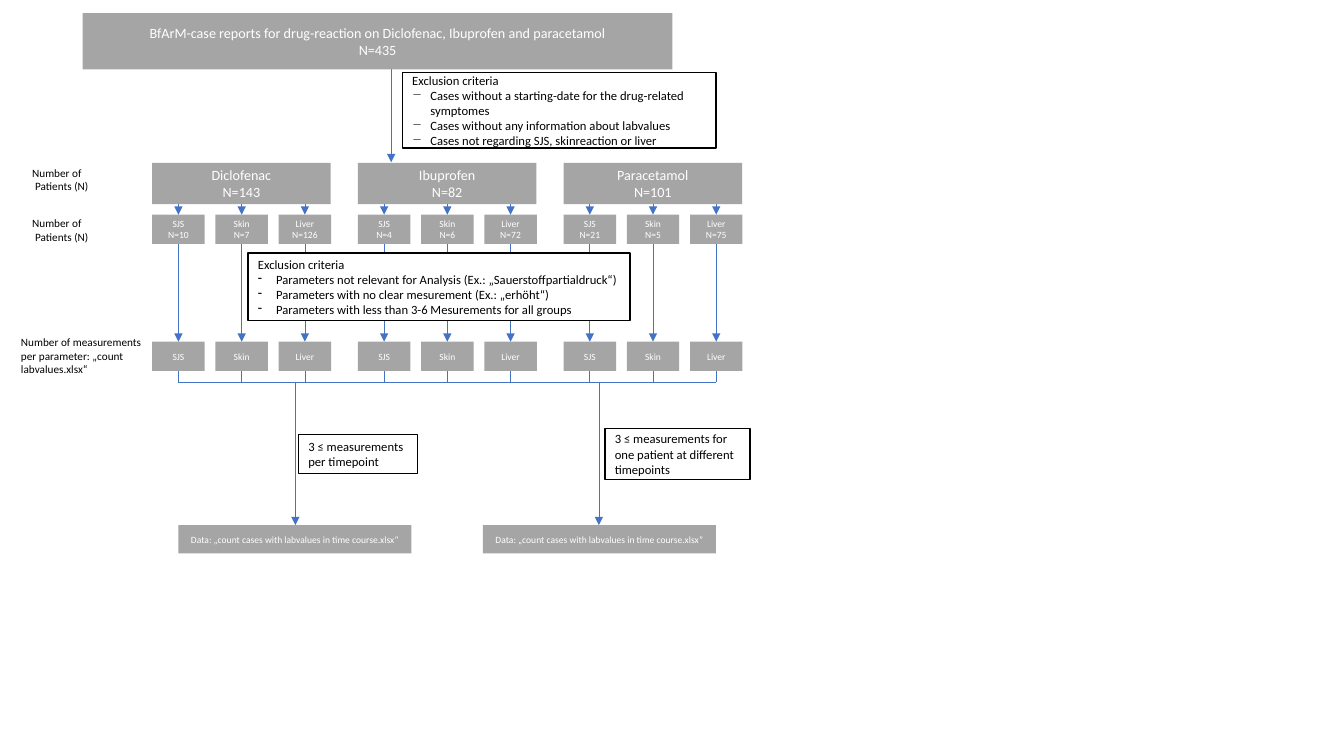
from pptx import Presentation
from pptx.dml.color import RGBColor
from pptx.enum.shapes import MSO_CONNECTOR, MSO_SHAPE
from pptx.enum.text import MSO_ANCHOR, MSO_AUTO_SIZE, PP_ALIGN
from pptx.oxml.ns import qn
from pptx.util import Inches, Pt
from lxml.etree import SubElement

GRAY = RGBColor(0xA5, 0xA5, 0xA5)
BLUE = RGBColor(0x44, 0x72, 0xC4)
WHITE = RGBColor(0xFF, 0xFF, 0xFF)
BLACK = RGBColor(0x00, 0x00, 0x00)

GROUPS = [
    ("Diclofenac", 143, (10, 7, 126)),
    ("Ibuprofen", 82, (4, 6, 72)),
    ("Paracetamol", 101, (21, 5, 75)),
]
REACTIONS = ("SJS", "Skin", "Liver")
GROUP_LEFT, GROUP_STEP, GROUP_WIDTH = 15.1, 20.4, 17.7
REACTION_STEP, REACTION_WIDTH, REACTION_HEIGHT = 6.27, 5.2, 2.9
GROUP_TOP, GROUP_HEIGHT = 16.15, 4.1
COUNT_TOP, MEASURE_TOP, RAIL = 21.3, 33.9, 37.9
DATA_TOP, DATA_WIDTH = 52.1, 23.1
TITLE = "BfArM-case reports for drug-reaction on Diclofenac, Ibuprofen and paracetamol"
DATA = "Data: „count cases with labvalues in time course.xlsx”"
CASE_EXCLUSIONS = [
    "Exclusion criteria",
    "Cases without a starting-date for the drug-related symptomes",
    "Cases without any information about labvalues",
    "Cases not regarding SJS, skinreaction or liver",
]
PARAMETER_EXCLUSIONS = [
    "Exclusion criteria",
    "Parameters not relevant for Analysis (Ex.: „Sauerstoffpartialdruck“)",
    "Parameters with no clear mesurement (Ex.: „erhöht“)",
    "Parameters with less than 3-6 Mesurements for all groups",
]


def write(tf, lines, size=9, color=BLACK, align=PP_ALIGN.LEFT, bullet=None, indent=0):
    tf.word_wrap = True
    for i, line in enumerate(lines):
        p = tf.paragraphs[0] if i == 0 else tf.add_paragraph()
        p.alignment = align
        if i and indent:
            pPr = p._p.get_or_add_pPr()
            pPr.set("marL", str(Inches(indent)))
            if bullet:
                pPr.set("indent", str(-Inches(indent)))
                SubElement(pPr, qn("a:buChar")).set("char", bullet)
        r = p.add_run()
        r.text = line
        r.font.name = "Calibri"
        r.font.size = Pt(size)
        r.font.color.rgb = color


class FlowChart:
    column = row = Inches(0.1)

    def __init__(self, slide):
        self.slide = slide

    def place(self, left, top, width, height):
        return (int(left * self.column), int(top * self.row),
                int(width * self.column), int(height * self.row))

    def rect(self, area, fill):
        sp = self.slide.shapes.add_shape(MSO_SHAPE.RECTANGLE, *self.place(*area))
        sp.shadow.inherit = False
        sp.fill.solid()
        sp.fill.fore_color.rgb = fill
        sp.text_frame.vertical_anchor = MSO_ANCHOR.MIDDLE
        return sp

    def box(self, area, lines, size=6.8):
        sp = self.rect(area, GRAY)
        sp.line.fill.background()
        write(sp.text_frame, lines, size=size, color=WHITE, align=PP_ALIGN.CENTER)

    def note(self, area, lines, bullet=None):
        sp = self.rect(area, WHITE)
        sp.line.color.rgb = BLACK
        sp.line.width = Pt(1)
        write(sp.text_frame, lines, bullet=bullet, indent=0.18)

    def label(self, area, lines, indent=0):
        tf = self.slide.shapes.add_textbox(*self.place(*area)).text_frame
        write(tf, lines, size=8, indent=indent)
        tf.auto_size = MSO_AUTO_SIZE.SHAPE_TO_FIT_TEXT

    def line(self, x1, y1, x2, y2, arrow=False):
        ends = self.place(x1, y1, x2, y2)
        c = self.slide.shapes.add_connector(MSO_CONNECTOR.STRAIGHT, *ends)
        c.line.color.rgb = BLUE
        c.line.width = Pt(0.5)
        if arrow:
            SubElement(c.line._get_or_add_ln(), qn("a:tailEnd")).set("type", "triangle")
        SubElement(c._element.spPr, qn("a:effectLst"))


def main():
    prs = Presentation()
    prs.slide_width, prs.slide_height = Inches(13.33), Inches(7.5)
    chart = FlowChart(prs.slides.add_slide(prs.slide_layouts[6]))

    chart.line(38.8, 6.7, 38.8, 16.1, arrow=True)
    chart.box((8.2, 1.3, 58.5, 5.6), [TITLE, "N=435"], size=10.1)
    chart.note((39.9, 7.2, 31.1, 7.5), CASE_EXCLUSIONS, bullet="−")

    centers = []
    for g, (drug, total, counts) in enumerate(GROUPS):
        left = GROUP_LEFT + g * GROUP_STEP
        chart.box((left, GROUP_TOP, GROUP_WIDTH, GROUP_HEIGHT), [drug, f"N={total}"], size=10.1)
        for i, (reaction, count) in enumerate(zip(REACTIONS, counts)):
            x = left + i * REACTION_STEP
            center = x + REACTION_WIDTH / 2
            centers.append(center)
            size = (REACTION_WIDTH, REACTION_HEIGHT)
            chart.box((x, COUNT_TOP, *size), [reaction, f"N={count}"])
            chart.box((x, MEASURE_TOP, *size), [reaction])
            chart.line(center, GROUP_TOP + GROUP_HEIGHT, center, COUNT_TOP, arrow=True)
            chart.line(center, COUNT_TOP + REACTION_HEIGHT, center, MEASURE_TOP, arrow=True)
            chart.line(center, MEASURE_TOP + REACTION_HEIGHT, center, RAIL)
    chart.line(centers[0], RAIL, centers[-1], RAIL)

    chart.note((24.6, 25.1, 37.9, 6.7), PARAMETER_EXCLUSIONS, bullet="-")

    for top in (16, 21):
        chart.label((2.2, top, 8.5, 3.7), ["Number of", "Patients (N)"], indent=0.03)
    chart.label((1.1, 32.8, 16.1, 5),
                ["Number of measurements", "per parameter: „count", "labvalues.xlsx“"])

    for left, center in ((17.7, 29.3), (47.9, 59.4)):
        chart.box((left, DATA_TOP, DATA_WIDTH, 2.8), [DATA])
        chart.line(center, RAIL, center, DATA_TOP, arrow=True)
    chart.note((29.6, 43.1, 11.8, 3.9), ["3 ≤ measurements per timepoint"])
    chart.note((60, 42.5, 14.4, 5.1),
               ["3 ≤ measurements for one patient at different timepoints"])

    prs.save("out.pptx")


if __name__ == "__main__":
    main()
